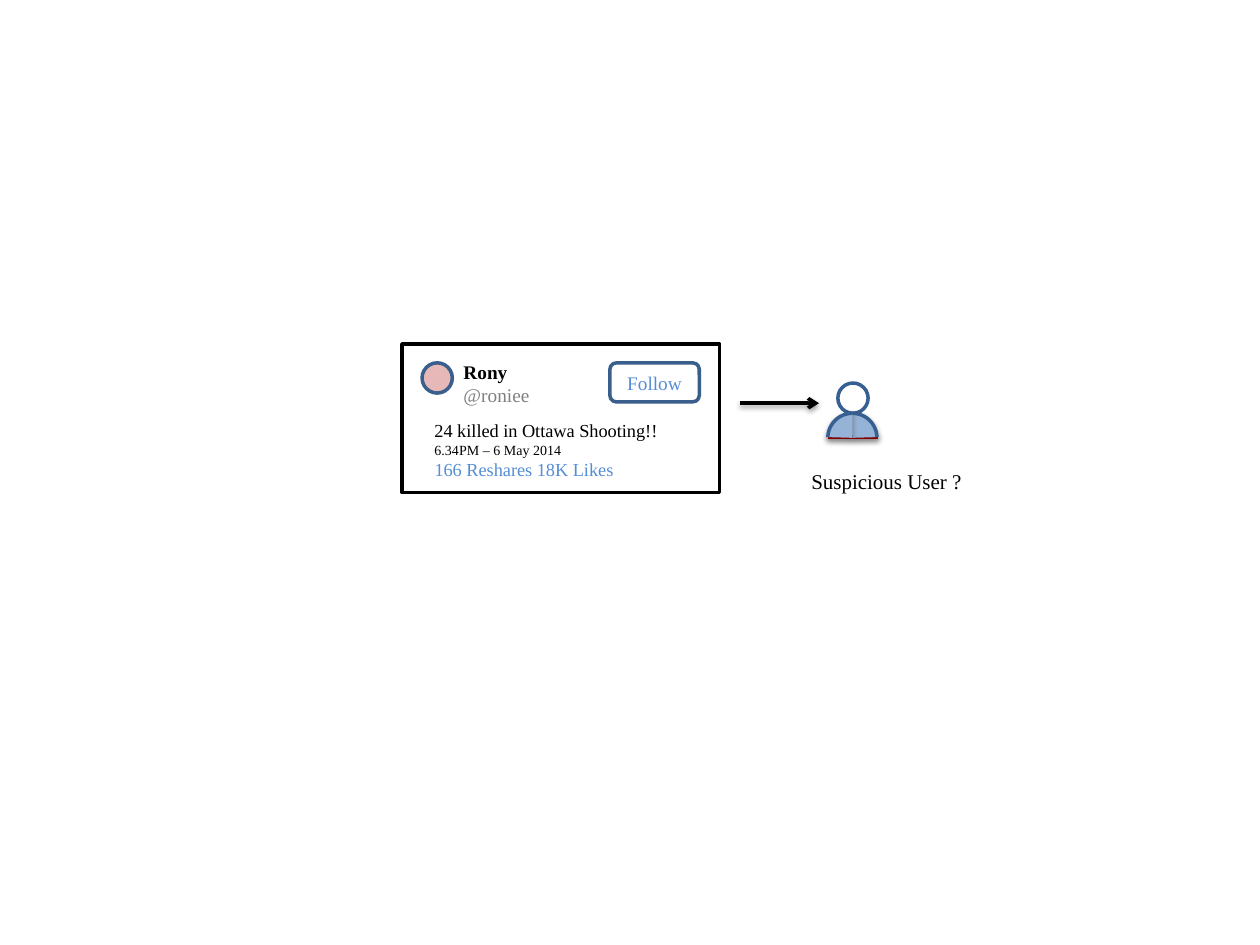
from lxml import etree
from pptx import Presentation
from pptx.dml.color import RGBColor
from pptx.enum.shapes import MSO_CONNECTOR as Link, MSO_SHAPE as Kind
from pptx.enum.text import MSO_ANCHOR as Anchor, MSO_AUTO_SIZE as Fit, PP_ALIGN as Align
from pptx.oxml.ns import qn
from pptx.util import Inches, Pt

FONT = "Times New Roman"
BLACK, GREY, WHITE = "000000", "808080", "FFFFFF"
BLUE, EDGE, BODY = "558ED5", "3A5F8C", "95B3D7"
OUTLINE, PINK, RED = "376092", "E6B9B8", "C00000"

# Each text box: left, top, width, height, then lines of (text, size, colour, bold)
NAME = (3.58, 2.81, 1.02, 0.47), [("Rony", 11, BLACK, True), ("@roniee", 11, GREY, False)]
POST = (3.35, 3.28, 2.13, 0.77), [("24 killed in Ottawa Shooting!!", 10.5, BLACK, False),
                                  ("6.34PM – 6 May 2014", 8, BLACK, False)]
STATS = (3.35, 3.59, 1.89, 0.28), [("166 Reshares 18K Likes", 10.5, BLUE, False)]
LABEL = (6.34, 3.67, 1.42, 0.3), [("Suspicious User ?", 12, BLACK, False)]

CARD = (3.19, 2.73, 2.52, 1.18)
BUTTON = (4.84, 2.88, 0.71, 0.31)
DOT = 0.24                        # avatar and head diameter
BUST = (6.57, 3.28, 0.39, 0.39)   # circle behind the shoulders
QUARTER = (162, 214.98)           # arc from the top to the right

prs = Presentation()
prs.slide_width, prs.slide_height = Inches(10), Inches(7.5)
slide = prs.slides.add_slide(prs.slide_layouts[6])
shapes = slide.shapes


def rgb(code):
    return RGBColor.from_string(code)


def shade(item):
    """Give the item a soft shadow straight below it."""
    fx = etree.SubElement(item._element.spPr, qn("a:effectLst"))
    drop = etree.SubElement(fx, qn("a:outerShdw"), blurRad=str(Pt(3.1)),
                            dist=str(Pt(1.6)), dir="5400000", rotWithShape="0")
    tint = etree.SubElement(drop, qn("a:srgbClr"), val=BLACK)
    etree.SubElement(tint, qn("a:alpha"), val="38000")


def write(frame, lines, align=Align.LEFT):
    for i, (text, size, color, bold) in enumerate(lines):
        para = frame.paragraphs[0] if i == 0 else frame.add_paragraph()
        para.alignment = align
        run = para.add_run()
        run.text = text
        font = run.font
        font.name, font.size, font.bold = FONT, Pt(size), bold
        font.color.rgb = rgb(color)


def note(box, lines):
    frame = shapes.add_textbox(*map(Inches, box)).text_frame
    frame.word_wrap = True
    frame.auto_size = Fit.SHAPE_TO_FIT_TEXT
    write(frame, lines)


def draw(kind, box, line, fill=None):
    item = shapes.add_shape(kind, *map(Inches, box))
    if fill:
        item.fill.solid()
        item.fill.fore_color.rgb = rgb(fill)
    else:
        item.fill.background()
    item.line.color.rgb = rgb(line)
    item.line.width = Pt(2)
    return item


def flat(*args):
    item = draw(*args)
    item.shadow.inherit = False
    return item


def rule(left, right, y, color, arrow=False):
    item = shapes.add_connector(Link.STRAIGHT, *map(Inches, (left, y, right, y)))
    item.line.color.rgb = rgb(color)
    item.line.width = Pt(2)
    if arrow:
        etree.SubElement(item.line._get_or_add_ln(), qn("a:tailEnd"), type="arrow")
    shade(item)


# Post card
flat(Kind.RECTANGLE, CARD, BLACK, WHITE)
note(*NAME)
flat(Kind.OVAL, (3.35, 2.88, DOT, DOT), EDGE, PINK)
button = flat(Kind.ROUNDED_RECTANGLE, BUTTON, EDGE)
button.text_frame.vertical_anchor = Anchor.MIDDLE
write(button.text_frame, [("Follow", 11, BLUE, False)], Align.CENTER)
note(*POST)
note(*STATS)

# Arrow to the user
rule(5.87, 6.5, 3.2, BLACK, arrow=True)

# User figure: head, base line and two mirrored shoulders
flat(Kind.OVAL, (6.65, 3.04, DOT, DOT), OUTLINE, WHITE)
rule(BUST[0], BUST[0] + 0.4, 3.47, RED)
for mirror in (False, True):
    arc = draw(Kind.ARC, BUST, OUTLINE, BODY)
    arc.adjustments[0], arc.adjustments[1] = QUARTER
    if mirror:
        arc._element.spPr.xfrm.set("flipH", "1")
    shade(arc)
note(*LABEL)

prs.save("out.pptx")
